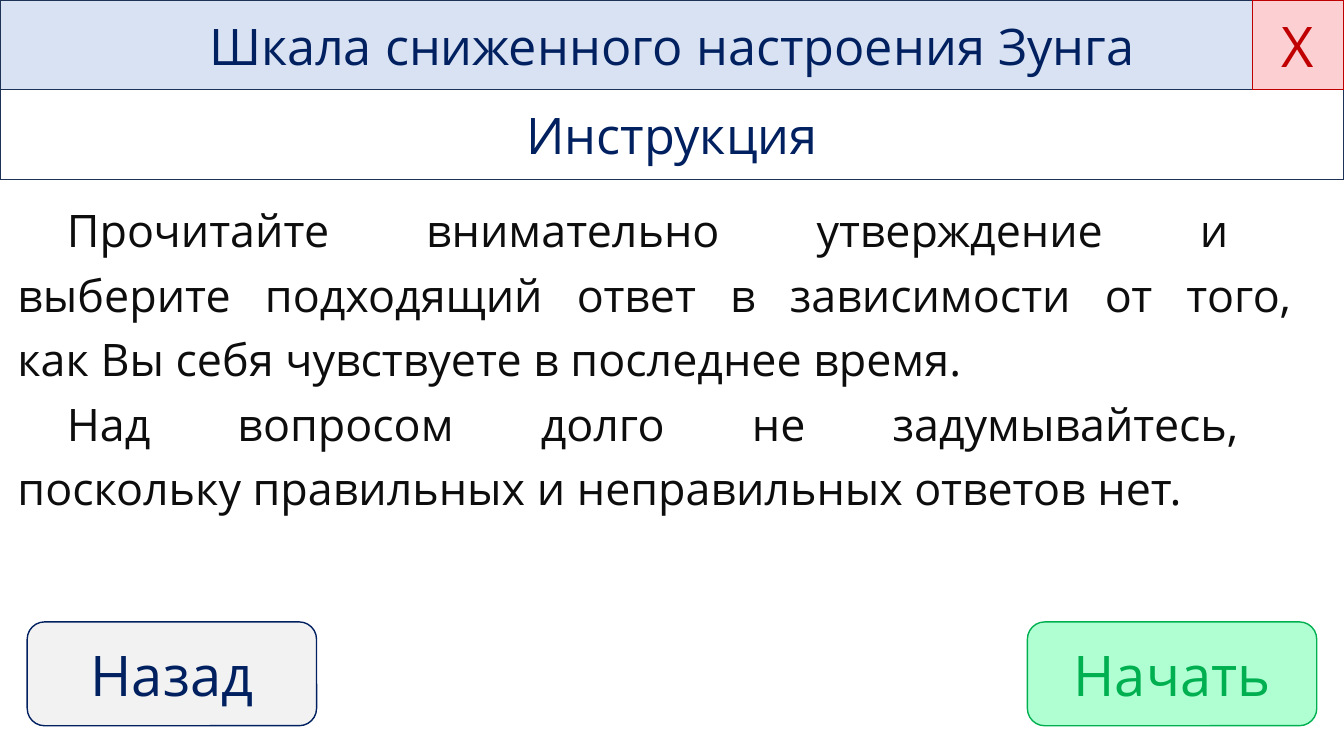
"""Builds the instruction slide of a mood questionnaire."""
from dataclasses import dataclass

from pptx import Presentation
from pptx.dml.color import RGBColor
from pptx.enum.shapes import MSO_SHAPE
from pptx.enum.text import MSO_ANCHOR, PP_ALIGN
from pptx.util import Inches, Pt


@dataclass(frozen=True)
class Theme:
    font: str = "Open Sans"
    navy: str = "002060"
    frame: str = "1E3256"
    ink: str = "0D0D0D"
    green: str = "00B050"
    red: str = "C00000"
    pale_blue: str = "D9E2F3"
    pale_gray: str = "F2F2F2"
    pale_green: str = "AFFFD3"
    pale_red: str = "FCD0D2"
    heading: int = 36
    button: int = 40
    body: int = 32


THEME = Theme()
WIDTH, HEIGHT = 13.33, 7.5
BAR = 0.89
CLOSE_WIDTH = 0.91
BUTTON_WIDTH, BUTTON_HEIGHT = 2.87, 1.03
MARGIN, BUTTON_TOP = 0.27, 6.17
BUTTON_ROUND = 0.1667

INSTRUCTIONS = [
    "Прочитайте внимательно утверждение и \v"
    "выберите подходящий ответ в зависимости от того, \v"
    "как Вы себя чувствуете в последнее время.",
    "Над вопросом долго не задумывайтесь, \v"
    "поскольку правильных и неправильных ответов нет.",
]

PANELS = [
    ("Шкала сниженного настроения Зунга", (0, 0, WIDTH, BAR), 0,
     THEME.pale_blue, THEME.frame, THEME.navy, THEME.heading),
    ("Инструкция", (0, BAR, WIDTH, BAR), 0,
     None, THEME.frame, THEME.navy, THEME.heading),
    ("Назад", (MARGIN, BUTTON_TOP, BUTTON_WIDTH, BUTTON_HEIGHT), BUTTON_ROUND,
     THEME.pale_gray, THEME.navy, THEME.navy, THEME.button),
    ("Начать", (WIDTH - MARGIN - BUTTON_WIDTH, BUTTON_TOP, BUTTON_WIDTH, BUTTON_HEIGHT),
     BUTTON_ROUND, THEME.pale_green, THEME.green, THEME.green, THEME.button),
    ("Х", (WIDTH - CLOSE_WIDTH, 0, CLOSE_WIDTH, BAR), 0,
     THEME.pale_red, THEME.red, THEME.red, THEME.button),
]


def add_box(page, place, rounding, fill, line):
    box = page.shapes.add_shape(MSO_SHAPE.ROUNDED_RECTANGLE, *map(Inches, place))
    box.adjustments[0] = rounding
    box.shadow.inherit = False
    if fill:
        box.fill.solid()
        box.fill.fore_color.rgb = RGBColor.from_string(fill)
    else:
        box.fill.background()
    if line:
        box.line.color.rgb = RGBColor.from_string(line)
        box.line.width = Pt(1)
    else:
        box.line.fill.background()
    box.text_frame.word_wrap = True
    return box


def write(para, text, size, color, align):
    para.text = text
    para.alignment = align
    for span in para.runs:
        span.font.name = THEME.font
        span.font.size = Pt(size)
        span.font.color.rgb = RGBColor.from_string(color)


def add_panel(page, text, place, rounding, fill, line, color, size):
    frame = add_box(page, place, rounding, fill, line).text_frame
    frame.vertical_anchor = MSO_ANCHOR.MIDDLE
    write(frame.paragraphs[0], text, size, color, PP_ALIGN.CENTER)


def add_instructions(page):
    place = (0, 2 * BAR, WIDTH, 4.03)
    frame = add_box(page, place, 0.064, None, None).text_frame
    frame.vertical_anchor = MSO_ANCHOR.TOP
    for index, text in enumerate(INSTRUCTIONS):
        para = frame.add_paragraph() if index else frame.paragraphs[0]
        write(para, text, THEME.body, THEME.ink, PP_ALIGN.JUSTIFY)
        para.line_spacing = 1.2
        para._p.get_or_add_pPr().set("indent", str(Inches(0.49)))


def main():
    deck = Presentation()
    deck.slide_width, deck.slide_height = Inches(WIDTH), Inches(HEIGHT)
    page = deck.slides.add_slide(deck.slide_layouts[6])
    for panel in PANELS:
        add_panel(page, *panel)
    add_instructions(page)
    deck.save("out.pptx")


if __name__ == "__main__":
    main()
